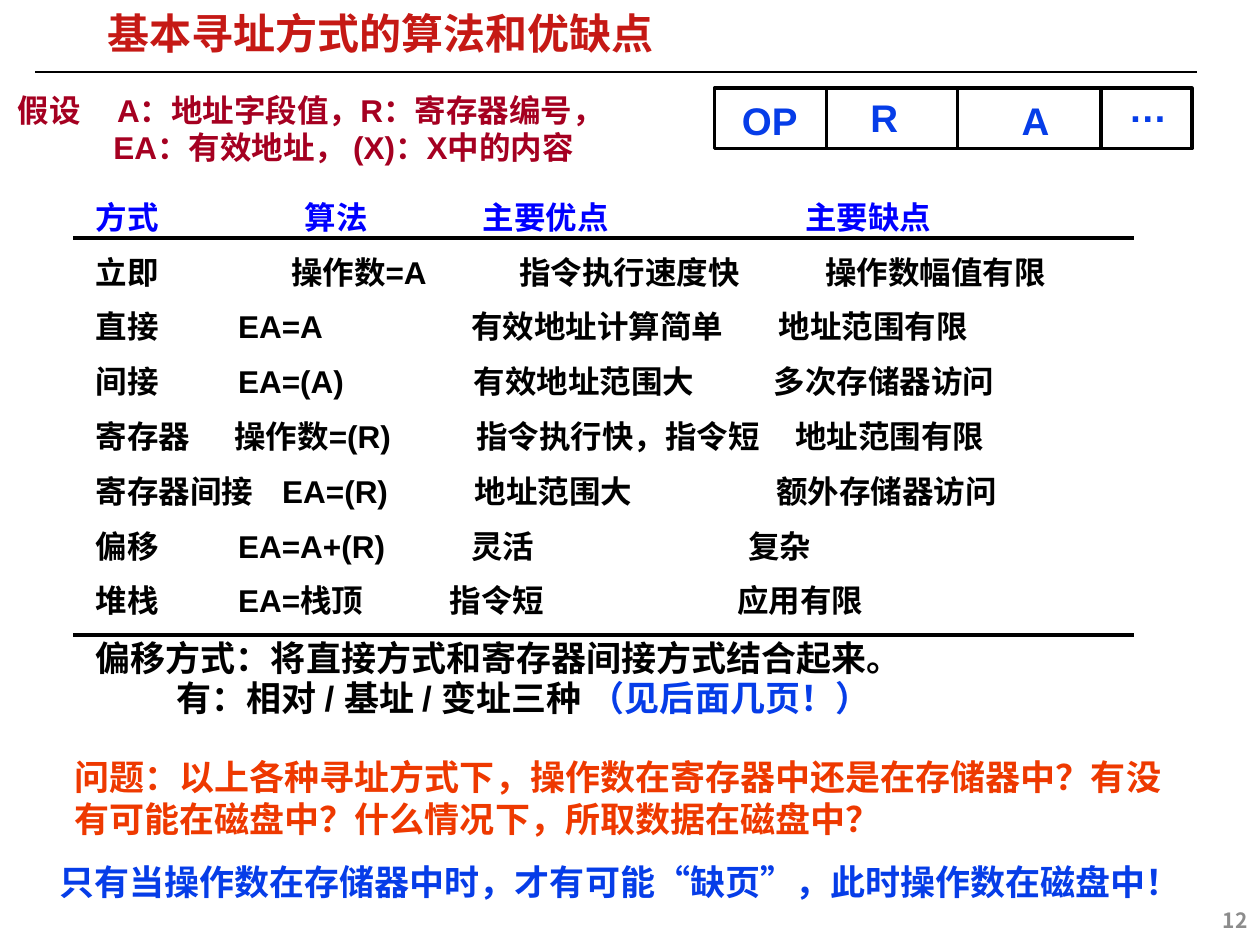
from lxml import etree
from pptx import Presentation
from pptx import util as u
from pptx.dml.color import RGBColor
from pptx.enum import shapes, text
from pptx.oxml.ns import qn

COLORS = {
    "title": "C51915", "header": "0000FF", "black": "000000", "assume": "A50021",
    "blue": "063DE8", "question": "EE3900", "page": "8C8C8C",
}
MODES = [
    ("方式\t算法\t主要优点\t主要缺点", (1.66, 3.07, 5.63)),
    ("立即\t操作数=A\t指令执行速度快\t操作数幅值有限", (1.55, 3.36, 5.79)),
    ("直接\tEA=A\t有效地址计算简单\t地址范围有限", (1.13, 2.98, 5.42)),
    ("间接\tEA=(A)\t有效地址范围大\t多次存储器访问", (1.13, 3.0, 5.38)),
    ("寄存器\t操作数=(R)\t指令执行快，指令短\t地址范围有限", (1.1, 3.02, 5.55)),
    ("寄存器间接\tEA=(R)\t地址范围大\t额外存储器访问", (1.48, 3.01, 5.4)),
    ("偏移\tEA=A+(R)\t灵活\t复杂", (1.13, 2.98, 5.18)),
    ("堆栈\tEA=栈顶\t指令短\t应用有限", (1.13, 2.81, 5.09)),
]
FIELD_TOP, FIELD_BOTTOM = 0.7, 1.18


class SlideBuilder:
    cjk_font = "Noto Sans CJK SC"

    def __init__(self, slide):
        self.slide = slide

    def clear_body_indent(self):
        master = self.slide.slide_layout.slide_master
        for body_style in master._element.iter(qn("p:bodyStyle")):
            level = body_style.find(qn("a:lvl1pPr"))
            level.set("marL", "0")
            level.attrib.pop("indent", None)

    def frame(self, shape, box, inset=(0.07, 0.03), anchor=text.MSO_ANCHOR.TOP):
        shape.left, shape.top, shape.width, shape.height = map(u.Inches, box)
        frame = shape.text_frame
        frame.word_wrap = True
        frame.auto_size = text.MSO_AUTO_SIZE.NONE
        frame.vertical_anchor = anchor
        frame.margin_left = frame.margin_right = u.Inches(inset[0])
        frame.margin_top = frame.margin_bottom = u.Inches(inset[1])
        return frame

    def style(self, run, size, color, font="Arial", bold=True):
        run.font.size = u.Pt(size)
        run.font.bold = bold
        run.font.name = font
        run.font.color.rgb = RGBColor.from_string(COLORS[color])
        east_asian = etree.SubElement(run._r.rPr, qn("a:ea"))
        east_asian.set("typeface", self.cjk_font)

    def paragraph(self, frame, parts, size, tabs=(), spacing=1.0, before=0, **style):
        paragraph = frame.paragraphs[0]
        if paragraph.runs:
            paragraph = frame.add_paragraph()
        paragraph.alignment = text.PP_ALIGN.LEFT
        paragraph.line_spacing = spacing
        paragraph.space_before = u.Pt(before)
        properties = paragraph._p.get_or_add_pPr()
        etree.SubElement(properties, qn("a:buNone"))
        if tabs:
            tab_list = etree.SubElement(properties, qn("a:tabLst"))
            for position in tabs:
                etree.SubElement(tab_list, qn("a:tab"),
                                 pos=str(u.Inches(position)), algn="l")
        for words, color in parts:
            run = paragraph.add_run()
            run.text = words
            self.style(run, size, color, **style)
        return paragraph

    def text_box(self, box, **options):
        shape = self.slide.shapes.add_textbox(0, 0, 0, 0)
        return self.frame(shape, box, **options)

    def line(self, start, end, width):
        connector = self.slide.shapes.add_connector(
            shapes.MSO_CONNECTOR.STRAIGHT, *map(u.Inches, start + end))
        connector.line.width = u.Pt(width)
        connector.line.color.rgb = RGBColor.from_string(COLORS["black"])
        etree.SubElement(connector._element.spPr, qn("a:effectLst"))

    def rectangle(self, box, width):
        shape = self.slide.shapes.add_shape(
            shapes.MSO_SHAPE.RECTANGLE, *map(u.Inches, box))
        shape.shadow.inherit = False
        shape.fill.background()
        shape.line.width = u.Pt(width)
        shape.line.color.rgb = RGBColor.from_string(COLORS["black"])


def main():
    presentation = Presentation()
    presentation.slide_width = u.Inches(10)
    presentation.slide_height = u.Inches(7.5)
    slide = presentation.slides.add_slide(presentation.slide_layouts[1])
    builder = SlideBuilder(slide)
    builder.clear_body_indent()

    builder.line((0.28, 0.57), (9.5, 0.57), 1)
    title = builder.frame(slide.shapes.title, (0.78, 0.09, 5.14, 0.4),
                          anchor=text.MSO_ANCHOR.MIDDLE)
    builder.paragraph(title, [("基本寻址方式的算法和优缺点", "title")], 24, spacing=0.87)

    body = builder.frame(slide.placeholders[1], (0.66, 1.46, 8.92, 5.14), inset=(0.1, 0.05))
    for index, (words, tabs) in enumerate(MODES):
        color, before = ("black", 5.4) if index else ("header", 0)
        builder.paragraph(body, [(words, color)], 18, tabs, spacing=1.2, before=before)
    builder.paragraph(body, [("偏移方式：将直接方式和寄存器间接方式结合起来。", "black")],
                      20, spacing=0.7, before=16.5)
    builder.paragraph(body, [("\t有：相对 / 基址 / 变址三种 ", "black"), ("（见后面几页！）", "blue")],
                      20, (0.64,), spacing=0.7, before=6)
    for y in (1.89, 5.04):
        builder.line((0.58, y), (9, y), 2.25)

    assumptions = builder.text_box((0.07, 0.69, 5.2, 0.66))
    builder.paragraph(assumptions, [("假设\tA：地址字段值，R：寄存器编号，", "assume")], 18, (0.79,))
    builder.paragraph(assumptions, [("\tEA：有效地址， (X)：X中的内容", "assume")], 18, (0.76,))

    question = builder.text_box((0.52, 5.97, 8.85, 0.73))
    builder.paragraph(question, [(
        "问题：以上各种寻址方式下，操作数在寄存器中还是在存储器中？"
        "有没有可能在磁盘中？什么情况下，所取数据在磁盘中？", "question")], 20)
    answer = builder.text_box((0.4, 6.8, 9.33, 0.39))
    builder.paragraph(answer, [(
        "只有当操作数在存储器中时，才有可能“缺页”，此时操作数在磁盘中！", "blue")], 20)

    builder.rectangle((5.67, FIELD_TOP, 3.79, FIELD_BOTTOM - FIELD_TOP), 2)
    for x in (6.56, 7.6, 8.74):
        builder.line((x, FIELD_TOP), (x, FIELD_BOTTOM), 2)
    for label, x, y in (("OP", 5.79, 0.72), ("R", 6.81, 0.7), ("A", 8.01, 0.72), ("…", 8.86, 0.62)):
        field = builder.text_box((x, y, 0.66, 0.47), inset=(0.1, 0.05))
        builder.paragraph(field, [(label, "blue")], 22)

    page = builder.text_box((7.75, 7.1, 2.25, 0.4), inset=(0.1, 0.05),
                            anchor=text.MSO_ANCHOR.MIDDLE)
    number = builder.paragraph(page, [("12", "page")], 12, font=builder.cjk_font)
    number.alignment = text.PP_ALIGN.RIGHT

    presentation.save("out.pptx")


if __name__ == "__main__":
    main()
